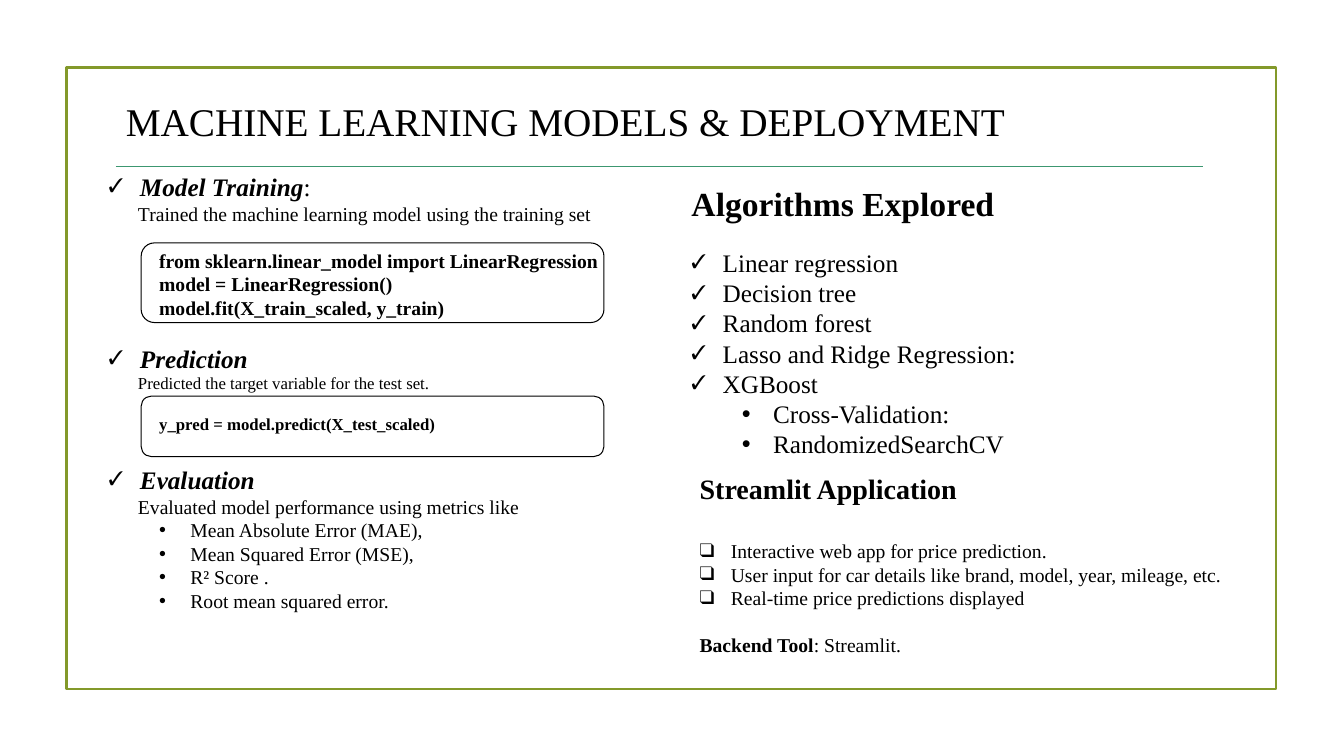
from pptx import Presentation
from pptx.util import Inches, Pt
from pptx.dml.color import RGBColor
from pptx.enum.shapes import MSO_SHAPE, MSO_CONNECTOR
from pptx.oxml.ns import qn
from lxml.etree import SubElement

BLACK = RGBColor(0x00, 0x00, 0x00)
OLIVE = RGBColor(0x83, 0x99, 0x2A)
GREEN = RGBColor(0x3C, 0x97, 0x70)
FONT = "Times New Roman"
LEAD = 1.0
HANG = 0.31
NOTE = 0.29
CODE = 0.5
SUB = 0.81


def add_box(slide, left, top, width, height):
    box = slide.shapes.add_textbox(
        Inches(left), Inches(top), Inches(width), Inches(height))
    box.text_frame.word_wrap = True
    return box.text_frame


def add_line(frame, runs, size, indent=0, mark=None, gap=0):
    first = frame.paragraphs[0]
    para = frame.add_paragraph() if first.runs else first
    para.line_spacing = LEAD
    para.space_before = Pt(gap)
    props = para._p.get_or_add_pPr()
    props.set("marL", str(Inches(indent)))
    props.set("indent", str(-Inches(HANG) if mark else 0))
    if mark:
        face = "Arial" if mark == "•" else FONT
        scale = "78000" if mark == "✓" else "100000"
        SubElement(props, qn("a:buSzPct")).set("val", scale)
        SubElement(props, qn("a:buFont")).set("typeface", face)
        SubElement(props, qn("a:buChar")).set("char", mark)
    for text, bold, slant in runs:
        run = para.add_run()
        run.text = text
        font = run.font
        font.name, font.size = FONT, Pt(size)
        font.bold, font.italic = bold, slant
        font.color.rgb = BLACK


def add_plain(frame, text, size, **place):
    add_line(frame, [(text, False, False)], size, **place)


def add_bold(frame, text, size, **place):
    add_line(frame, [(text, True, False)], size, **place)


def add_list(frame, items, size, indent, mark, gap=0):
    for i, item in enumerate(items):
        add_plain(frame, item, size, indent=indent, mark=mark,
                  gap=0 if i else gap)


def add_step(frame, name, note, size, tail="", gap=0):
    runs = [(name, True, True)]
    if tail:
        runs.append((tail, False, False))
    add_line(frame, runs, 18, indent=HANG, mark="✓", gap=gap)
    add_plain(frame, note, size, indent=NOTE)


def add_code(frame, lines, size, gap):
    for i, line in enumerate(lines):
        add_bold(frame, line, size, indent=CODE, gap=0 if i else gap)


def add_frame(slide, kind, color, weight, left, top, width, height):
    shape = slide.shapes.add_shape(
        kind, Inches(left), Inches(top), Inches(width), Inches(height))
    shape.shadow.inherit = False
    shape.fill.background()
    shape.line.color.rgb = color
    shape.line.width = Pt(weight)


def add_head(slide, left, top, width, height):
    frame = add_box(slide, left, top, width, height)
    add_plain(frame, "MACHINE LEARNING MODELS & DEPLOYMENT", 28)
    y = Inches(top + 0.73)
    rule = slide.shapes.add_connector(
        MSO_CONNECTOR.STRAIGHT, Inches(left), y, Inches(left + 10.78), y)
    rule.line.color.rgb = GREEN
    rule.line.width = Pt(0.75)
    SubElement(rule._element.spPr, qn("a:effectLst"))


def add_steps(slide, left, top, width, height):
    frame = add_box(slide, left, top, width, height)
    add_step(frame, "Model Training",
             "Trained the machine learning model using the training set",
             14, tail=":")
    add_code(frame, ["from sklearn.linear_model import LinearRegression",
                     "model = LinearRegression()",
                     "model.fit(X_train_scaled, y_train)"], 14, 16.9)
    add_step(frame, "Prediction",
             "Predicted the target variable for the test set.", 12, gap=16.9)
    add_code(frame, ["y_pred = model.predict(X_test_scaled)"], 12, 14.5)
    add_step(frame, "Evaluation",
             "Evaluated model performance using metrics like", 14, gap=21.7)
    add_list(frame, ["Mean Absolute Error (MAE),", "Mean Squared Error (MSE),",
                     "R² Score .", "Root mean squared error."], 14, SUB, "•")
    for drop, tall in ((0.76, 0.79), (2.28, 0.6)):
        add_frame(slide, MSO_SHAPE.ROUNDED_RECTANGLE, BLACK, 0.75,
                  left + 0.42, top + drop, 4.59, tall)


def add_models(slide, left, top, width, height):
    frame = add_box(slide, left, top, width, height)
    add_bold(frame, "Algorithms Explored", 24)
    add_list(frame, ["Linear regression", "Decision tree", "Random forest",
                     "Lasso and Ridge Regression:", "XGBoost"],
             18, HANG, "✓", gap=16.9)
    add_list(frame, ["Cross-Validation:", "RandomizedSearchCV"], 18, SUB, "•")


def add_app(slide, left, top, width, height):
    frame = add_box(slide, left, top, width, height)
    add_bold(frame, "Streamlit Application", 20)
    add_list(frame, [
        "Interactive web app for price prediction.",
        "User input for car details like brand, model, year, mileage, etc.",
        "Real-time price predictions displayed"], 14, HANG, "❑", gap=24.1)
    add_line(frame, [("Backend Tool", True, False),
                     (": Streamlit.", False, False)], 14, gap=16.9)


def main():
    deck = Presentation()
    deck.slide_width, deck.slide_height = Inches(13.33), Inches(7.5)
    slide = deck.slides.add_slide(deck.slide_layouts[6])
    add_frame(slide, MSO_SHAPE.RECTANGLE, OLIVE, 1.5, 0.66, 0.67, 12, 6.17)
    add_head(slide, 1.15, 0.92, 11.11, 0.57)
    add_steps(slide, 0.98, 1.65, 5.59, 4.51)
    add_models(slide, 6.76, 1.77, 5.59, 2.86)
    add_app(slide, 6.84, 4.63, 5.42, 1.95)
    deck.save("out.pptx")


if __name__ == "__main__":
    main()
